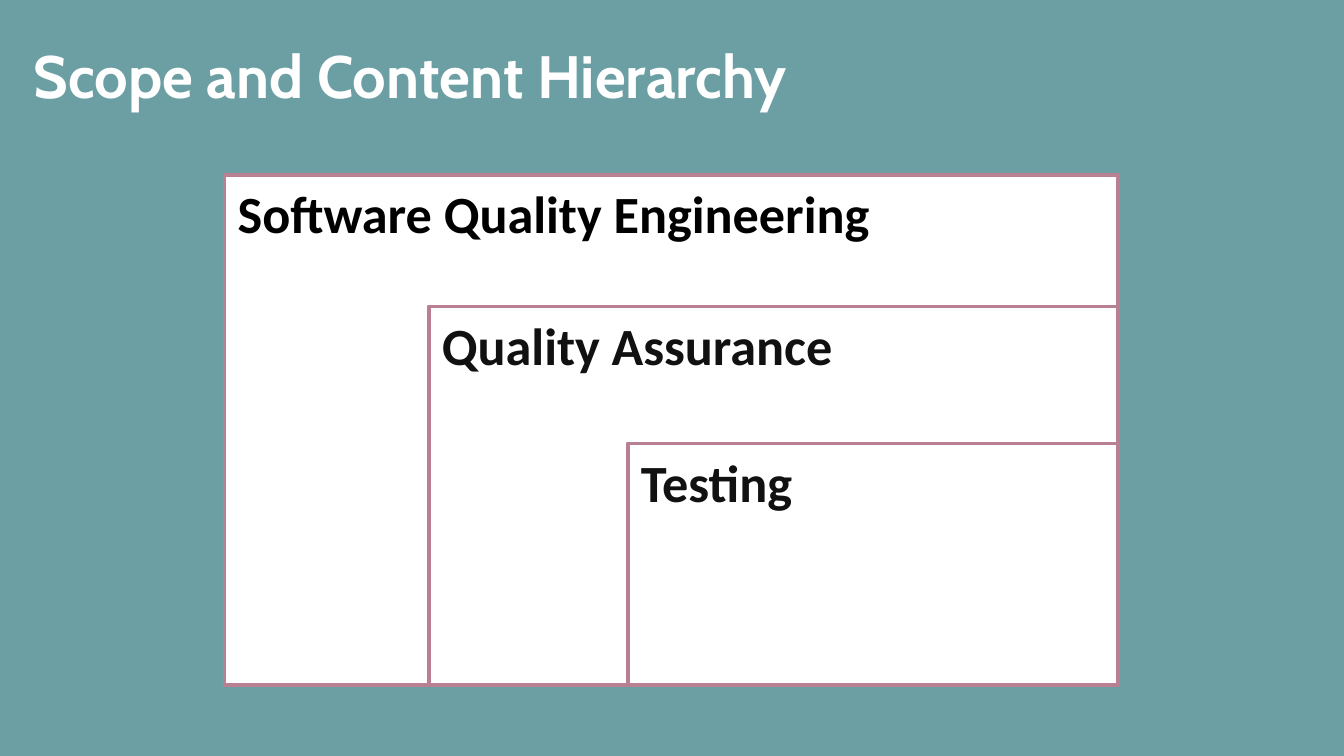
from pptx import Presentation
from pptx.dml.color import RGBColor
from pptx.enum.shapes import MSO_SHAPE
from pptx.enum.text import MSO_ANCHOR, PP_ALIGN
from pptx.util import Inches, Pt

RECTANGLE = MSO_SHAPE.RECTANGLE
TOP, BOTTOM = MSO_ANCHOR.TOP, MSO_ANCHOR.BOTTOM
LEFT = PP_ALIGN.LEFT

COLORS = {
    "background": "6B9FA4",
    "title": "FFFFFF",
    "box": "FFFFFF",
    "border": "B98094",
    "black": "000000",
    "ink": "111111",
}

# All scope boxes share their lower right corner
BOXES_RIGHT, BOXES_BOTTOM = 8.32, 5.1
SCOPES = [
    # label, left, top, text colour
    ("Software Quality Engineering", 1.67, 1.3, "black"),
    ("Quality Assurance", 3.19, 2.28, "ink"),
    ("Testing", 4.67, 3.3, "ink"),
]


def color(name):
    return RGBColor.from_string(COLORS[name])


def write_text(shape, text, *, font, size, color_name, anchor=TOP):
    frame = shape.text_frame
    frame.word_wrap = True
    frame.vertical_anchor = anchor
    paragraph = frame.paragraphs[0]
    paragraph.alignment = LEFT
    run = paragraph.add_run()
    run.text = text
    run.font.name = font
    run.font.size = Pt(size)
    run.font.bold = True
    run.font.color.rgb = color(color_name)


def add_title(slide, text):
    shape = slide.shapes.add_textbox(
        Inches(0.25), Inches(0.25), Inches(9.56), Inches(0.57))
    frame = shape.text_frame
    frame.margin_left = frame.margin_right = 0
    frame.margin_top = frame.margin_bottom = 0
    write_text(shape, text, font="Cabin", size=32, color_name="title",
               anchor=BOTTOM)


def add_scope_box(group, label, left, top, text_color):
    shape = group.shapes.add_shape(
        RECTANGLE, Inches(left), Inches(top),
        Inches(BOXES_RIGHT - left), Inches(BOXES_BOTTOM - top))
    shape.shadow.inherit = False
    shape.fill.solid()
    shape.fill.fore_color.rgb = color("box")
    shape.line.color.rgb = color("border")
    shape.line.width = Pt(2)
    write_text(shape, label, font="Calibri", size=28, color_name=text_color)


def main():
    # Widescreen, 16:9
    presentation = Presentation()
    presentation.slide_width = Inches(10)
    presentation.slide_height = presentation.slide_width * 9 // 16
    slide = presentation.slides.add_slide(presentation.slide_layouts[6])

    # Background and title
    slide.background.fill.solid()
    slide.background.fill.fore_color.rgb = color("background")
    add_title(slide, "Scope and Content Hierarchy")

    # Nested scopes, widest first
    group = slide.shapes.add_group_shape()
    for scope in SCOPES:
        add_scope_box(group, *scope)

    presentation.save("out.pptx")


if __name__ == "__main__":
    main()
